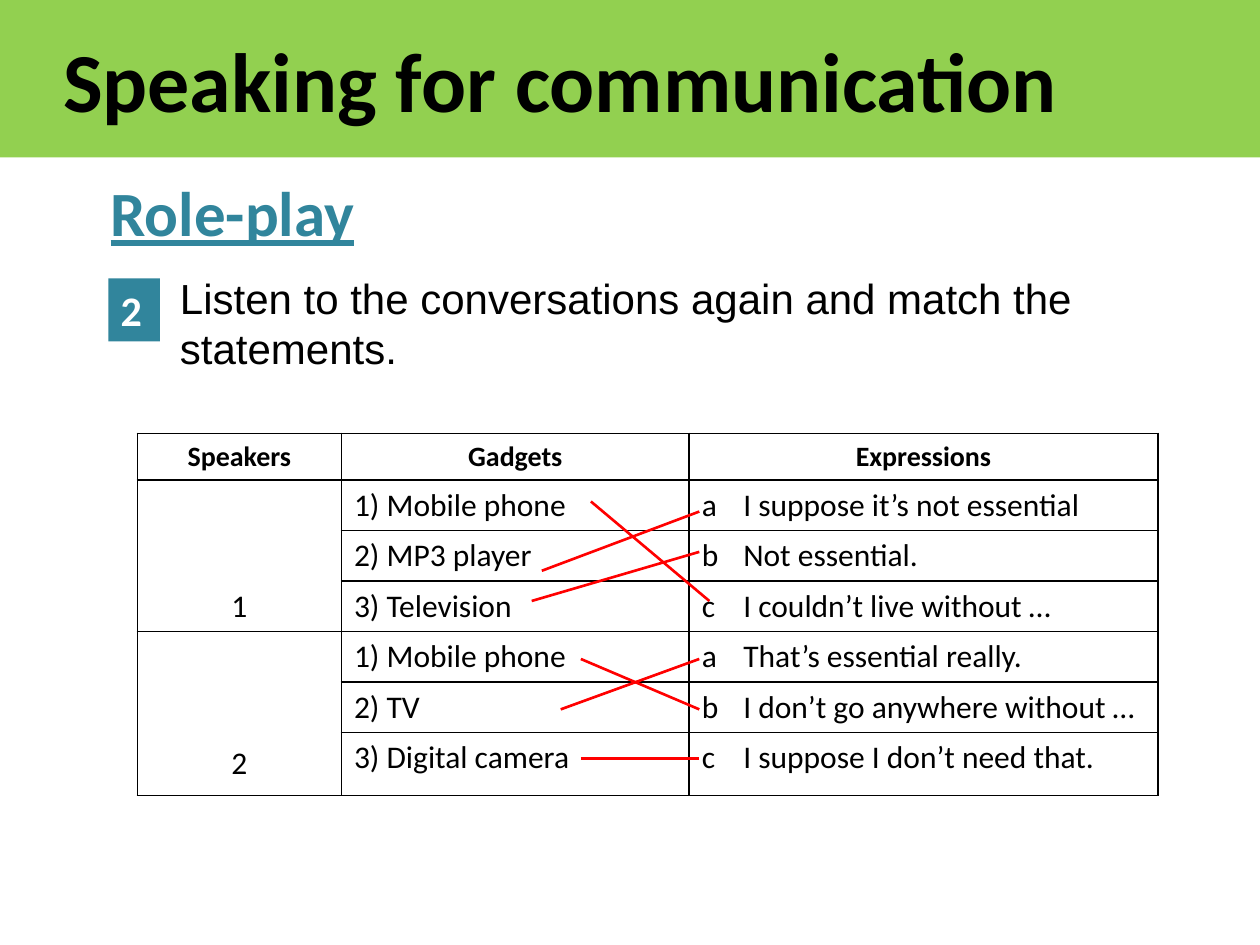
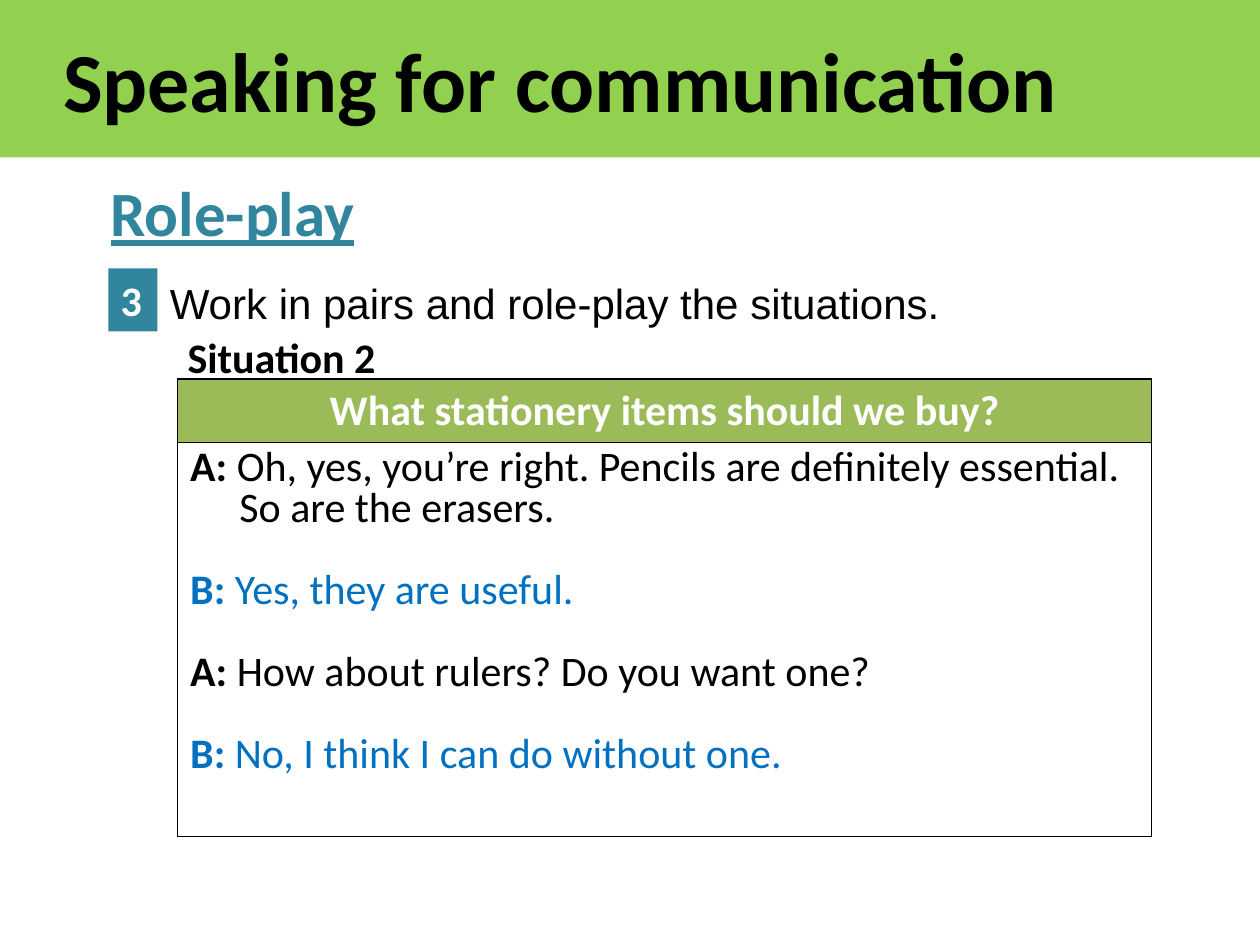
"""Builds two role-play slides: a matching exercise and a model dialogue."""
import dataclasses

import lxml.etree
import pptx
import pptx.dml.color
import pptx.enum.shapes
import pptx.enum.text
import pptx.oxml
import pptx.oxml.ns
import pptx.util


@dataclasses.dataclass(frozen=True)
class Theme:
    band: str = "92D050"
    accent: str = "31859C"
    header: str = "9BBB59"
    reply: str = "0070C0"
    match: str = "FF0000"
    black: str = "000000"
    white: str = "FFFFFF"
    title_size: int = 48
    heading_size: int = 36
    text_size: int = 24
    cell_size: int = 18
    label_size: int = 16
    font: str = "Calibri"
    task_font: str = "Arial"


theme = Theme()
rgb = pptx.dml.color.RGBColor.from_string
qn = pptx.oxml.ns.qn
Pt = pptx.util.Pt
align = pptx.enum.text.PP_ALIGN
anchor = pptx.enum.text.MSO_ANCHOR

deck = pptx.Presentation()
deck.slide_width = pptx.util.Inches(10)
deck.slide_height = pptx.util.Inches(7.5)
column = deck.slide_width / 100
row = deck.slide_height / 75


def grid(*lengths):
    """Turn alternating column and row counts into slide lengths."""
    return [pptx.util.Emu(round(n * (row if i % 2 else column))) for i, n in enumerate(lengths)]


def write(frame, text, size, color=theme.black, bold=False, alignment=align.LEFT, font=theme.font):
    """Put one formatted paragraph into a text frame and return its run."""
    frame.text = text
    frame.word_wrap = True
    paragraph = frame.paragraphs[0]
    paragraph.alignment = alignment
    run = paragraph.runs[0]
    run.font.name, run.font.size, run.font.bold = font, Pt(size), bold
    run.font.color.rgb = rgb(color)
    return run


tasks = [
    ("2", (8.6, 22.1, 4.1, 5), "Listen to the conversations again and match the statements.",
     (13.3, 21.1, 77.1, 9.1)),
    ("3", (8.6, 21.3, 3.9, 5), "Work in pairs and role-play the situations.",
     (12.5, 21.5, 73.4, 5)),
]
slides = []
for number, badge_place, task, task_place in tasks:
    slide = deck.slides.add_slide(deck.slide_layouts[5])
    slides.append(slide)

    title = slide.shapes.title
    title.left, title.top, title.width, title.height = grid(0, 0, 100, 12.5)
    title.fill.solid()
    title.fill.fore_color.rgb = rgb(theme.band)
    write(title.text_frame, "Speaking for communication", theme.title_size, bold=True)
    title.text_frame.auto_size = pptx.enum.text.MSO_AUTO_SIZE.NONE
    title.text_frame.vertical_anchor = anchor.MIDDLE
    title.text_frame.margin_left = round(5 * column)

    heading = slide.shapes.add_textbox(*grid(7.8, 13.3, 21.6, 7.1))
    run = write(heading.text_frame, "Role-play", theme.heading_size, theme.accent, True)
    run.font.underline = True
    heading.text_frame.word_wrap = False

    task_group = slide.shapes.add_group_shape().shapes
    badge = task_group.add_shape(pptx.enum.shapes.MSO_SHAPE.RECTANGLE, *grid(*badge_place))
    badge.shadow.inherit = False
    badge.fill.solid()
    badge.fill.fore_color.rgb = rgb(theme.accent)
    badge.line.fill.background()
    write(badge.text_frame, number, theme.text_size, theme.white, True)
    badge.text_frame.vertical_anchor = anchor.TOP
    instruction = task_group.add_textbox(*grid(*task_place))
    write(instruction.text_frame, task, theme.text_size, font=theme.task_font)

matching, dialogue = slides

conversations = [
    [("1) Mobile phone", "a\tI suppose it’s not essential"),
     ("2) MP3 player", "b\tNot essential."),
     ("3) Television", "c\tI couldn’t live without …")],
    [("1) Mobile phone", "a\tThat’s essential really."),
     ("2) TV", "b\tI don’t go anywhere without …"),
     ("3) Digital camera", "c\tI suppose I don’t need that.")],
]
match_table = matching.shapes.add_table(7, 3, *grid(10.9, 34.4, 81, 28.7)).table
for table_column, width in zip(match_table.columns, (16.2, 27.6, 37.2)):
    table_column.width = round(width * column)
for table_row, height in zip(match_table.rows, [3.7] + [4] * 5 + [5]):
    table_row.height = round(height * row)
for index, label in enumerate(("Speakers", "Gadgets", "Expressions")):
    write(match_table.cell(0, index).text_frame, label, theme.label_size, bold=True,
          alignment=align.CENTER)
for speaker, pairs in enumerate(conversations):
    first = 1 + speaker * len(pairs)
    speaker_cell = match_table.cell(first, 0)
    speaker_cell.merge(match_table.cell(first + len(pairs) - 1, 0))
    write(speaker_cell.text_frame, str(speaker + 1), theme.cell_size, alignment=align.CENTER)
    speaker_cell.vertical_anchor = anchor.BOTTOM
    speaker_cell.margin_bottom = round((0.4, 1)[speaker] * row)
    for offset, (gadget, expression) in enumerate(pairs):
        write(match_table.cell(first + offset, 1).text_frame, gadget, theme.cell_size)
        expression_frame = match_table.cell(first + offset, 2).text_frame
        write(expression_frame, expression, theme.cell_size)
        hanging = expression_frame.paragraphs[0]._p.get_or_add_pPr()
        hanging.set("marL", str(round(3.3 * column)))
        hanging.set("indent", str(round(-3.3 * column)))

matches = [
    (46.9, 39.8, 56.3, 47.7), (44.5, 56.3, 55.5, 52.3), (43, 45.3, 55.5, 40.6),
    (42.2, 47.7, 55.5, 43.8), (46.1, 60.2, 55.5, 60.2), (46.1, 52.3, 55.5, 56.3),
]
for ends in matches:
    match = matching.shapes.add_connector(pptx.enum.shapes.MSO_CONNECTOR.STRAIGHT, *grid(*ends))
    match.line.color.rgb = rgb(theme.match)
    match.line.width = Pt(1.5)
    lxml.etree.SubElement(match._element.spPr, qn("a:effectLst"))

situation = dialogue.shapes.add_textbox(*grid(13.9, 25.8, 72, 10.8))
write(situation.text_frame, "Situation 2", theme.text_size, bold=True)

speech_table = dialogue.shapes.add_table(2, 1, *grid(14.1, 30.1, 77.3, 36.3)).table
speech_table.rows[0].height = round(5 * row)
speech_table.rows[1].height = round(31.3 * row)
write(speech_table.cell(0, 0).text_frame, "What stationery items should we buy?",
      theme.text_size, theme.white, True, align.CENTER)
speeches = [
    ("A:", " Oh, yes, you’re right. Pencils are definitely essential. So are the erasers."),
    ("B:", " Yes, they are useful."),
    ("A:", " How about rulers? Do you want one?"),
    ("B:", " No, I think I can do without one."),
]
speech_frame = speech_table.cell(1, 0).text_frame
for index, (speaker, words) in enumerate(speeches):
    speech = speech_frame.add_paragraph() if index else speech_frame.paragraphs[0]
    hanging = speech._p.get_or_add_pPr()
    hanging.set("marL", str(round(3.9 * column)))
    hanging.set("indent", str(round(-3.9 * column)))
    speech.line_spacing = 0.8
    if index:
        speech.space_before = Pt(23.4)
    for text, bold in ((speaker, True), (words, False)):
        run = speech.add_run()
        run.text = text
        run.font.name, run.font.size, run.font.bold = theme.font, Pt(theme.text_size), bold
        run.font.color.rgb = rgb(theme.black if speaker == "A:" else theme.reply)

for table, header_fill in ((match_table, theme.white), (speech_table, theme.header)):
    table.first_row = table.horz_banding = False
    header_cells = len(table.columns)
    for index, cell in enumerate(table.iter_cells()):
        properties = cell._tc.get_or_add_tcPr()
        for side in ("a:lnL", "a:lnR", "a:lnT", "a:lnB"):
            border = lxml.etree.SubElement(properties, qn(side), w=str(Pt(1)))
            paint = lxml.etree.SubElement(border, qn("a:solidFill"))
            lxml.etree.SubElement(paint, qn("a:srgbClr"), val=theme.black)
        cell.fill.solid()
        cell.fill.fore_color.rgb = rgb(header_fill if index < header_cells else theme.white)

deck.save("out.pptx")
